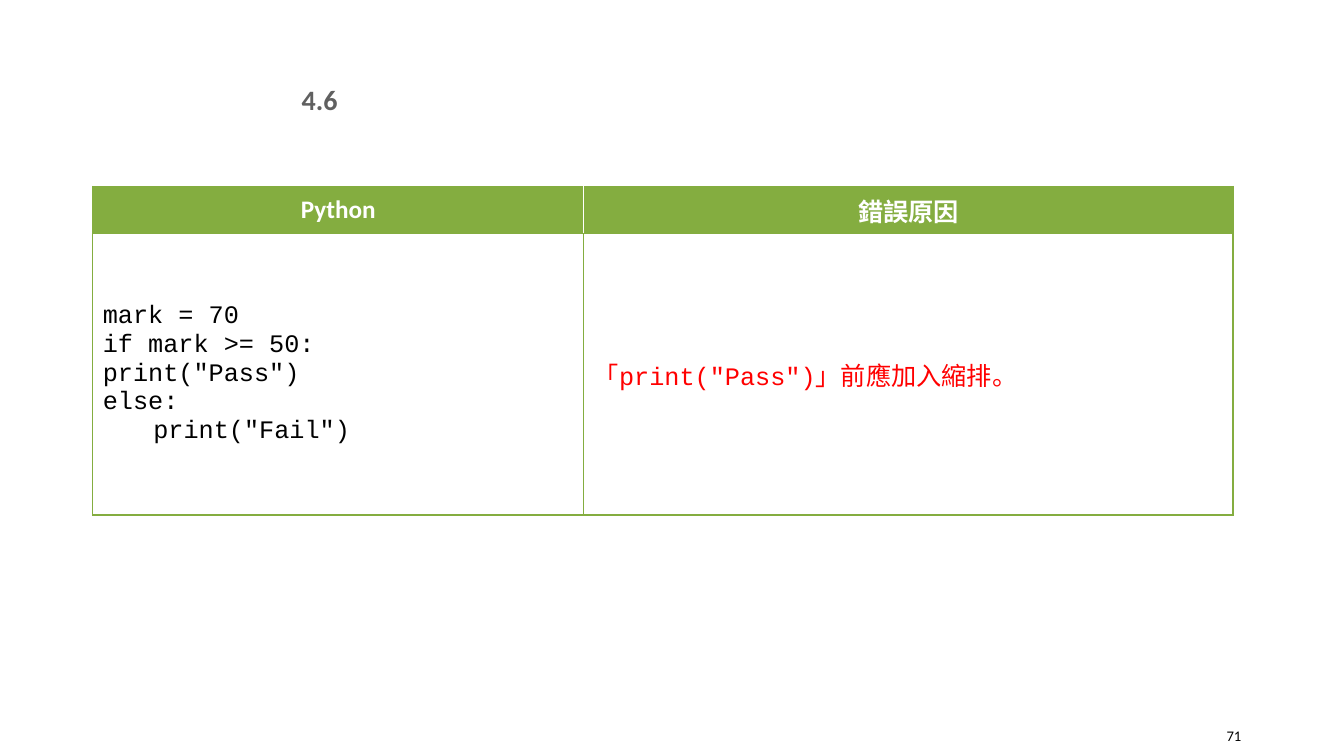
from lxml.etree import SubElement
from pptx import Presentation
from pptx.dml.color import RGBColor
from pptx.enum.text import MSO_ANCHOR, MSO_AUTO_SIZE, PP_ALIGN
from pptx.oxml.ns import qn
from pptx.util import Inches, Pt

GREEN, WHITE, BLACK, RED, GREY = "84AD40", "FFFFFF", "000000", "FF0000", "606060"
BODY, CODE, CHINESE = "Calibri", "Courier New", "Noto Sans CJK TC"


def color(value):
    return RGBColor.from_string(value)


class SlideBuilder:
    def __init__(self, page):
        self.page = page

    def add_lines(self, frame, lines, size, ink, bold=False, align=PP_ALIGN.LEFT):
        """Each line is a list of (text, font name) pairs."""
        for index, line in enumerate(lines):
            para = frame.paragraphs[0] if index == 0 else frame.add_paragraph()
            para.alignment = align
            for text, name in line:
                span = para.add_run()
                span.text = text
                span.font.name = name
                span.font.size = Pt(size)
                span.font.bold = bold
                span.font.color.rgb = color(ink)
                SubElement(span.font._element, qn("a:ea"), typeface=CHINESE)

    def place(self, box, left, top, width, height):
        box.left, box.top = Inches(left), Inches(top)
        box.width, box.height = Inches(width), Inches(height)

    def title(self, text, *bounds):
        box = self.page.shapes.title
        self.place(box, *bounds)
        frame = box.text_frame
        frame.auto_size = MSO_AUTO_SIZE.NONE
        frame.margin_left = frame.margin_right = 0
        frame.margin_top = frame.margin_bottom = 0
        frame.vertical_anchor = MSO_ANCHOR.MIDDLE
        self.add_lines(frame, [[(text, BODY)]], 20, GREY, True, PP_ALIGN.CENTER)

    def page_number(self, text, *bounds):
        box = self.page.shapes.add_textbox(*map(Inches, bounds))
        frame = box.text_frame
        frame.word_wrap = True
        frame.vertical_anchor = MSO_ANCHOR.MIDDLE
        self.add_lines(frame, [[(text, BODY)]], 10.5, BLACK, align=PP_ALIGN.RIGHT)

    def table(self, left, top, widths, heights):
        frame = self.page.shapes.add_table(
            len(heights), len(widths), Inches(left), Inches(top),
            Inches(sum(widths)), Inches(sum(heights)))
        for column, width in zip(frame.table.columns, widths):
            column.width = Inches(width)
        for row, height in zip(frame.table.rows, heights):
            row.height = Inches(height)
        return frame.table

    def cell(self, cell, lines, ink, borders, fill=None, **style):
        properties = cell._tc.get_or_add_tcPr()
        for side, value in zip("LRTB", borders):
            line = SubElement(properties, qn(f"a:ln{side}"), w=str(Pt(1)))
            paint = SubElement(line, qn("a:solidFill"))
            SubElement(paint, qn("a:srgbClr"), val=value)
        if fill:
            cell.fill.solid()
            cell.fill.fore_color.rgb = color(fill)
        else:
            cell.fill.background()
        cell.vertical_anchor = MSO_ANCHOR.MIDDLE
        self.add_lines(cell.text_frame, lines, 18, ink, **style)


def main():
    deck = Presentation()
    deck.slide_width, deck.slide_height = Inches(13.33), Inches(7.5)
    builder = SlideBuilder(deck.slides.add_slide(deck.slide_layouts[5]))

    # Section number and page number
    builder.title("4.6", 2.7, 0.83, 0.94, 0.31)
    builder.page_number("71", 11.57, 7.1, 0.84, 0.4)

    # Header row, with a white line between its cells
    table = builder.table(0.92, 1.85, [4.87, 6.44], [0.47, 2.79])
    headers = [
        ("Python", BODY, [GREEN, WHITE, GREEN, GREEN]),
        ("錯誤原因", CHINESE, [WHITE, GREEN, GREEN, GREEN]),
    ]
    for column, (text, name, borders) in enumerate(headers):
        builder.cell(table.cell(0, column), [[(text, name)]], WHITE, borders,
                     GREEN, bold=True, align=PP_ALIGN.CENTER)

    # Faulty code and the reason for the error
    code = ["mark = 70", "if mark >= 50:", 'print("Pass")', "else:",
            '\tprint("Fail")']
    reason = [("「", BODY), ('print("Pass")', CODE), ("」前應加入縮排。", BODY)]
    builder.cell(table.cell(1, 0), [[(line, CODE)] for line in code],
                 BLACK, [GREEN] * 4)
    builder.cell(table.cell(1, 1), [reason], RED, [GREEN] * 4)

    deck.save("out.pptx")


if __name__ == "__main__":
    main()
